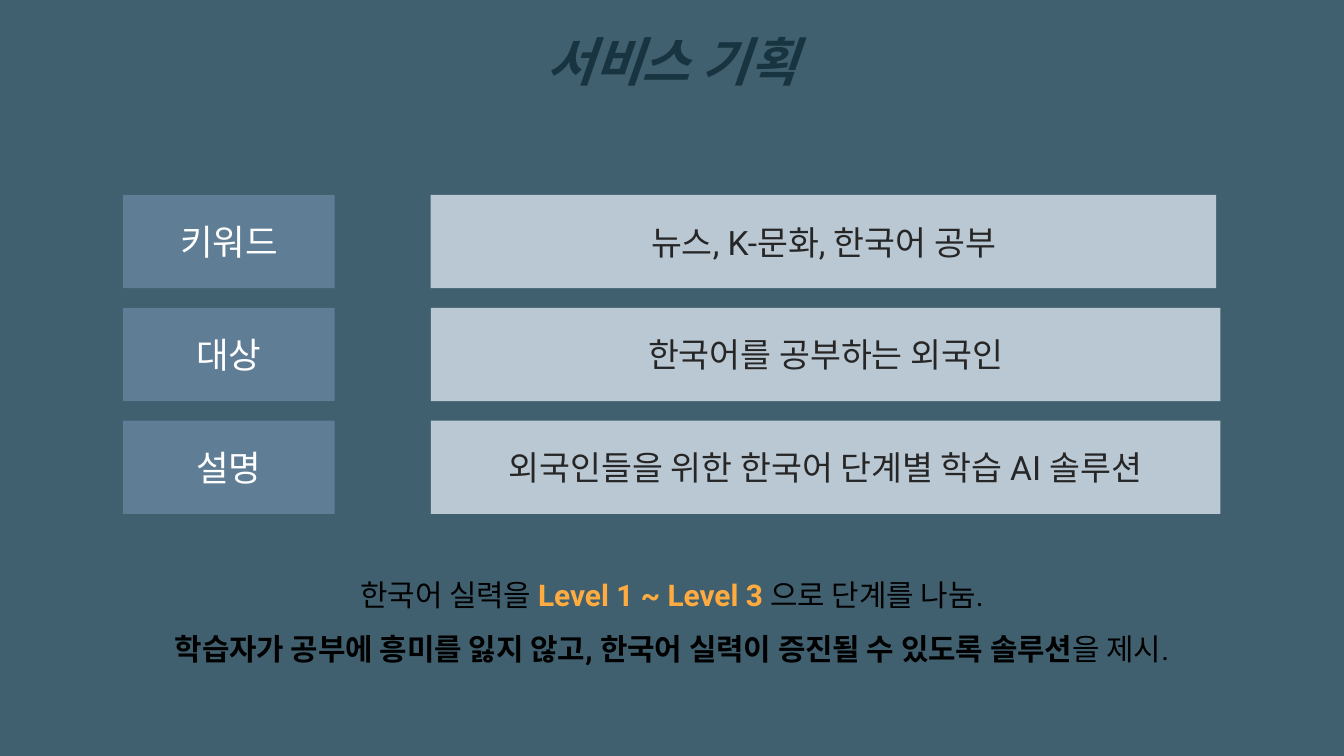
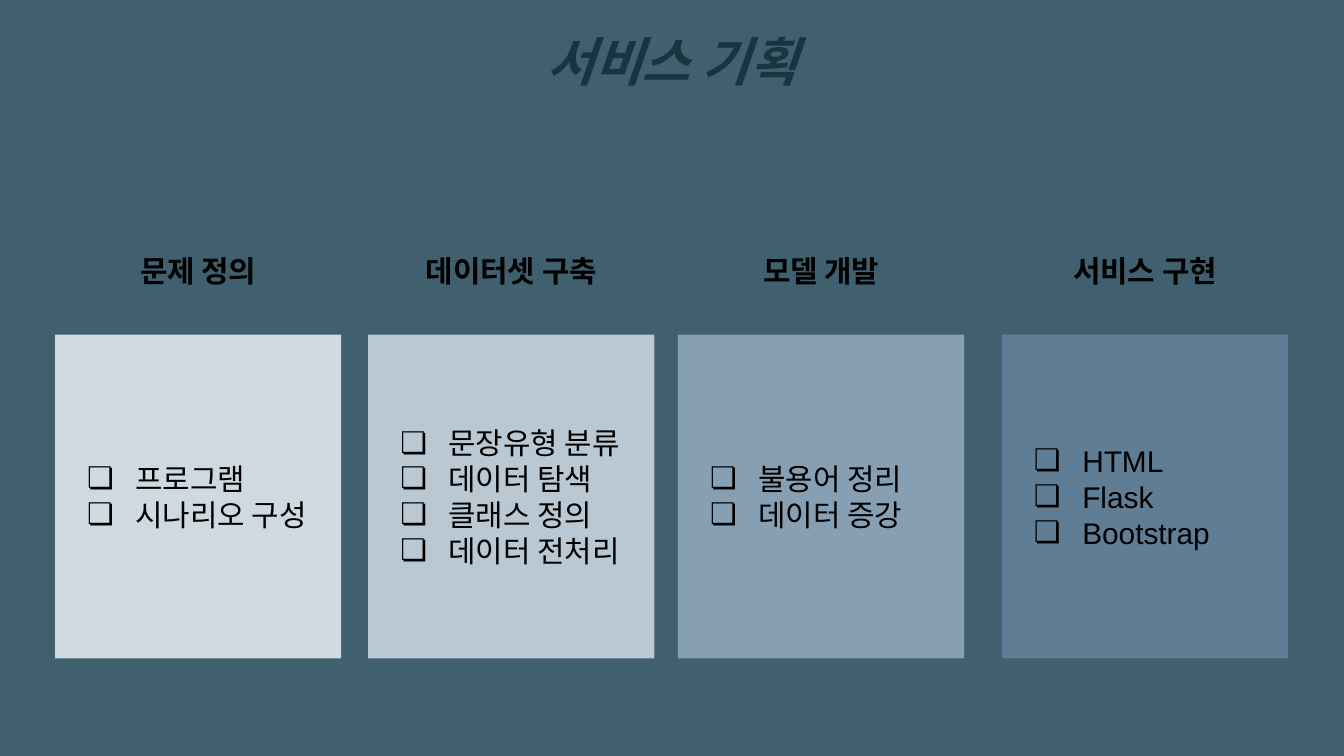
from dataclasses import dataclass

import lxml.etree
import pptx
import pptx.dml.color
import pptx.enum.shapes
import pptx.enum.text
import pptx.oxml.ns
import pptx.presentation
import pptx.shapes.autoshape
import pptx.slide
import pptx.text.text
import pptx.util

EMU_PER_PX = 4572  # 200 px to the inch
SLIDE_WIDTH = 2000
SLIDE_HEIGHT = 1125
ALIGN = pptx.enum.text.PP_ALIGN


@dataclass(frozen=True)
class Theme:
    background: str = "40606F"
    title: str = "193441"
    text: str = "000000"
    value_text: str = "262626"
    label_text: str = "FFFFFF"
    accent: str = "FFAB40"
    mist: str = "CFD9E0"
    silver: str = "BAC8D3"
    steel: str = "869FB2"
    slate: str = "5F7D95"
    heading_font: str = "Roboto"
    list_font: str = "Arial"
    title_size: int = 28
    label_size: int = 19
    value_size: int = 18
    body_size: int = 16


THEME = Theme()


@dataclass(frozen=True)
class Box:
    left: int
    top: int
    width: int
    height: int


@dataclass(frozen=True)
class Style:
    size: int = THEME.body_size
    color: str = THEME.text
    font: str = THEME.heading_font
    bold: bool = False
    italic: bool = False


@dataclass(frozen=True)
class Span:
    text: str
    style: Style


@dataclass(frozen=True)
class Row:
    label: str
    value: str
    value_width: int = 1175


@dataclass(frozen=True)
class Card:
    heading: str
    items: tuple[str, ...]
    left: int
    fill: str
    heading_width: int = 342


BODY = Style()
BOLD = Style(bold=True)
ACCENT = Style(color=THEME.accent, bold=True)
TITLE = Style(THEME.title_size, THEME.title, bold=True, italic=True)
LABEL = Style(THEME.label_size, THEME.label_text)
VALUE = Style(THEME.value_size, THEME.value_text)
ITEM = Style(font=THEME.list_font)

ROWS = (
    Row("키워드", "뉴스, K-문화, 한국어 공부", 1169),
    Row("대상", "한국어를 공부하는 외국인"),
    Row("설명", "외국인들을 위한 한국어 단계별 학습 AI 솔루션"),
)
SUMMARY = (
    (
        Span("한국어 실력을 ", BODY),
        Span("Level 1 ~ Level 3 ", ACCENT),
        Span("으로 단계를 나눔.", BODY),
    ),
    (
        Span("학습자가 공부에 흥미를 잃지 않고, 한국어 실력이 증진될 수 있도록 솔루션", BOLD),
        Span("을 제시.", BODY),
    ),
)
CARDS = (
    Card("문제 정의", ("프로그램", "시나리오 구성"), 82, THEME.mist, 268),
    Card("데이터셋 구축", ("문장유형 분류", "데이터 탐색", "클래스 정의", "데이터 전처리"),
         548, THEME.silver),
    Card("모델 개발", ("불용어 정리", "데이터 증강"), 1009, THEME.steel),
    Card("서비스 구현", ("HTML", "Flask", "Bootstrap"), 1491, THEME.slate),
)


def px(length: int) -> pptx.util.Emu:
    return pptx.util.Emu(length * EMU_PER_PX)


def rgb(color: str) -> pptx.dml.color.RGBColor:
    return pptx.dml.color.RGBColor.from_string(color)


def bounds(box: Box) -> tuple[pptx.util.Emu, ...]:
    return px(box.left), px(box.top), px(box.width), px(box.height)


def prepare_frame(frame: pptx.text.text.TextFrame, inset: int = 20) -> None:
    frame.word_wrap = True
    frame.vertical_anchor = pptx.enum.text.MSO_ANCHOR.MIDDLE
    frame.margin_left = frame.margin_right = px(inset)
    frame.margin_top = frame.margin_bottom = px(inset)


def apply_style(font: pptx.text.text.Font, style: Style) -> None:
    font.name = style.font
    font.size = pptx.util.Pt(style.size)
    font.bold = style.bold
    font.italic = style.italic
    font.color.rgb = rgb(style.color)


def write_line(frame: pptx.text.text.TextFrame, text: str, style: Style) -> None:
    frame.text = text
    paragraph = frame.paragraphs[0]
    paragraph.alignment = ALIGN.CENTER
    apply_style(paragraph.runs[0].font, style)


def add_text(slide: pptx.slide.Slide, box: Box) -> pptx.text.text.TextFrame:
    frame = slide.shapes.add_textbox(*bounds(box)).text_frame
    prepare_frame(frame)
    return frame


def add_panel(
    slide: pptx.slide.Slide, box: Box, fill: str, inset: int = 20
) -> pptx.text.text.TextFrame:
    shape = slide.shapes.add_shape(pptx.enum.shapes.MSO_SHAPE.RECTANGLE, *bounds(box))
    shape.shadow.inherit = False
    shape.fill.solid()
    shape.fill.fore_color.rgb = rgb(fill)
    shape.line.fill.background()
    prepare_frame(shape.text_frame, inset)
    return shape.text_frame


def add_checkbox_bullet(paragraph: pptx.text.text._Paragraph) -> None:
    qn = pptx.oxml.ns.qn
    properties = paragraph._p.get_or_add_pPr()
    properties.set("marL", str(px(100)))
    properties.set("indent", str(px(-72)))
    bullet_color = lxml.etree.SubElement(properties, qn("a:buClr"))
    lxml.etree.SubElement(bullet_color, qn("a:srgbClr"), val=THEME.text)
    lxml.etree.SubElement(properties, qn("a:buSzPts"), val=str(THEME.body_size * 100))
    lxml.etree.SubElement(properties, qn("a:buFont"), typeface=THEME.list_font)
    lxml.etree.SubElement(properties, qn("a:buChar"), char="❏")


def add_blank_slide(presentation: pptx.presentation.Presentation) -> pptx.slide.Slide:
    slide = presentation.slides.add_slide(presentation.slide_layouts[6])
    slide.background.fill.solid()
    slide.background.fill.fore_color.rgb = rgb(THEME.background)
    return slide


def add_title(slide: pptx.slide.Slide) -> None:
    write_line(add_text(slide, Box(0, 46, SLIDE_WIDTH, 88)), "서비스 기획", TITLE)


def add_row(slide: pptx.slide.Slide, row: Row, top: int) -> None:
    label = add_panel(slide, Box(183, top, 315, 139), THEME.slate, 26)
    write_line(label, row.label, LABEL)
    value = add_panel(slide, Box(641, top, row.value_width, 139), THEME.silver, 26)
    write_line(value, row.value, VALUE)


def add_summary(slide: pptx.slide.Slide) -> None:
    frame = add_text(slide, Box(90, 780, 1820, 264))
    for index, spans in enumerate(SUMMARY):
        paragraph = frame.add_paragraph() if index else frame.paragraphs[0]
        paragraph.alignment = ALIGN.CENTER
        paragraph.line_spacing = 1.5
        for span in spans:
            run = paragraph.add_run()
            run.text = span.text
            apply_style(run.font, span.style)


def add_card(slide: pptx.slide.Slide, card: Card) -> None:
    """Draw a panel of bulleted items with its heading centred above."""
    panel = Box(card.left, 498, 426, 482)
    heading_left = panel.left + (panel.width - card.heading_width) // 2
    heading = add_text(slide, Box(heading_left, 359, card.heading_width, 88))
    write_line(heading, card.heading, BOLD)

    frame = add_panel(slide, panel, card.fill)
    frame.text = "\n".join(card.items)
    for paragraph in frame.paragraphs:
        paragraph.alignment = ALIGN.JUSTIFY
        add_checkbox_bullet(paragraph)
        apply_style(paragraph.runs[0].font, ITEM)


def main() -> None:
    presentation = pptx.Presentation()
    presentation.slide_width = px(SLIDE_WIDTH)
    presentation.slide_height = px(SLIDE_HEIGHT)

    overview = add_blank_slide(presentation)
    for index, row in enumerate(ROWS):
        add_row(overview, row, 290 + 168 * index)
    add_summary(overview)
    add_title(overview)

    process = add_blank_slide(presentation)
    for card in CARDS:
        add_card(process, card)
    add_title(process)

    presentation.save("out.pptx")


if __name__ == "__main__":
    main()
